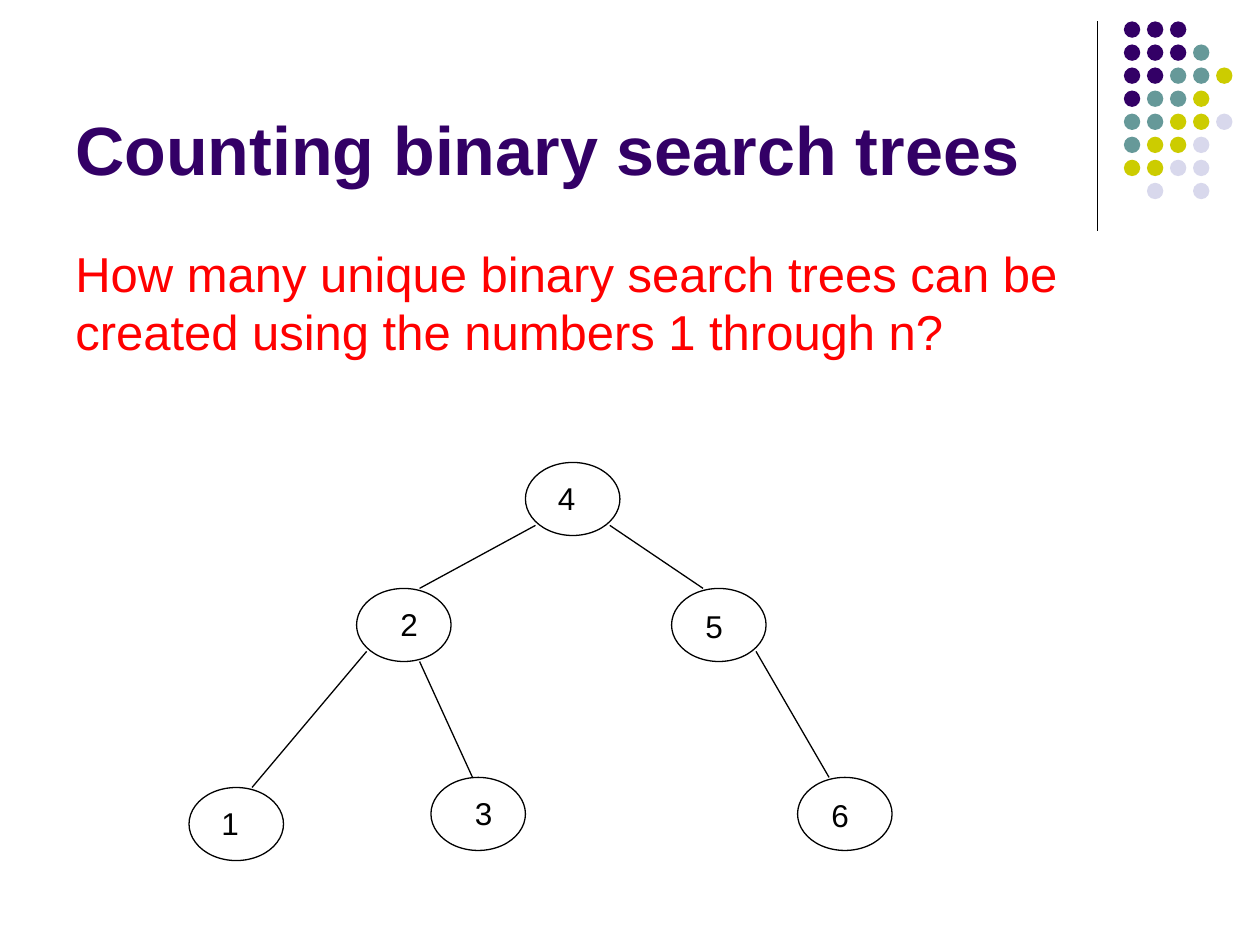
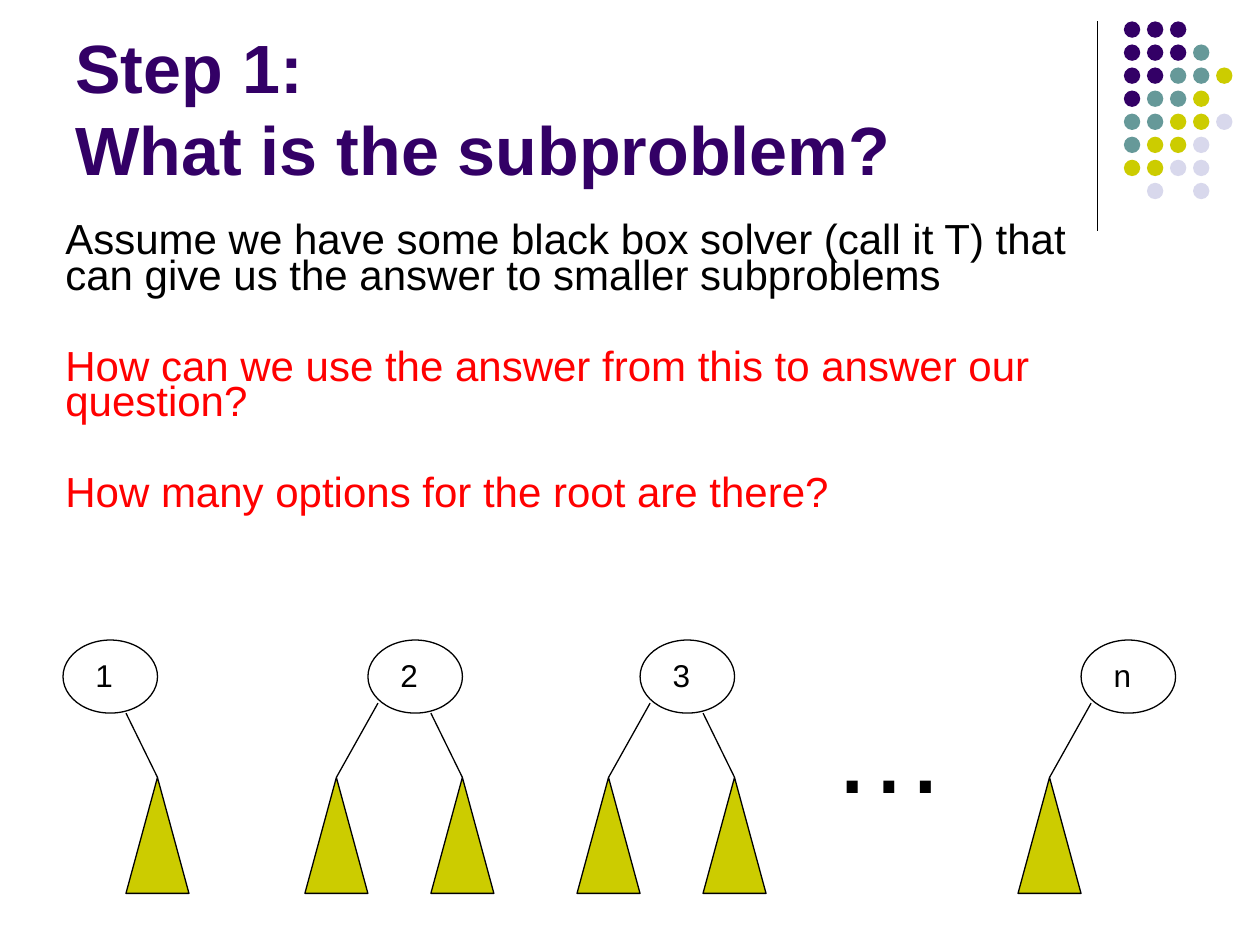
from lxml import etree
from pptx import Presentation
from pptx.dml.color import RGBColor
from pptx.enum import shapes, text
from pptx.oxml import ns
from pptx.util import Inches, Pt

PURPLE = RGBColor(0x33, 0x00, 0x66)
TEAL = RGBColor(0x66, 0x99, 0x99)
OLIVE = RGBColor(0xCC, 0xCC, 0x00)
LAVENDER = RGBColor(0xD8, 0xD8, 0xEC)
RED = RGBColor(0xFF, 0x00, 0x00)
BLACK = RGBColor(0x00, 0x00, 0x00)

FONT = "Arial"
NODE_W, NODE_H = 0.75, 0.58
LINE_WIDTH = Pt(0.75)

# Corner ornament: one letter per dot, one string per row
DOT_COLOURS = {"P": PURPLE, "T": TEAL, "O": OLIVE, "L": LAVENDER}
DOT_ROWS = ["PPP", "PPPT", "PPTTO", "PTTO", "TTOOL", "TOOL", "OOLL", " L L"]
DOT_LEFT, DOT_TOP, DOT_STEP, DOT_SIZE = 8.92, 0.17, 0.183, 0.13

# Points on a node, measured from its top left corner
LOWER_LEFT = (0.08, 0.5)
LOWER_RIGHT = (0.67, 0.5)
BOTTOM = (0.5, NODE_H)


def add_outline(slide, kind, left, top, width, height, fill=None, line=BLACK):
    shape = slide.shapes.add_shape(
        kind, Inches(left), Inches(top), Inches(width), Inches(height))
    shape.shadow.inherit = False
    if fill is None:
        shape.fill.background()
    else:
        shape.fill.solid()
        shape.fill.fore_color.rgb = fill
    if line is None:
        shape.line.fill.background()
    else:
        shape.line.color.rgb = line
        shape.line.width = LINE_WIDTH
    return shape


def add_edge(slide, start, end):
    edge = slide.shapes.add_connector(
        shapes.MSO_CONNECTOR.STRAIGHT, *(Inches(v) for v in (*start, *end)))
    edge.line.color.rgb = BLACK
    edge.line.width = LINE_WIDTH
    etree.SubElement(edge._element.spPr, ns.qn("a:effectLst"))


def add_words(slide, box, paragraphs, size, bold=False, anchor=text.MSO_ANCHOR.TOP,
              **spacing):
    """Each paragraph is a (wording, colour) pair; spacing goes to all of them."""
    frame = slide.shapes.add_textbox(*(Inches(v) for v in box)).text_frame
    frame.word_wrap = True
    frame.vertical_anchor = anchor
    gap = spacing.pop("gap", None)
    for index, (wording, colour) in enumerate(paragraphs):
        paragraph = frame.add_paragraph() if index else frame.paragraphs[0]
        paragraph.text = wording
        for name, value in spacing.items():
            setattr(paragraph, name, value)
        if index and gap:
            paragraph.space_before = gap
        for run in paragraph.runs:
            for name, value in {"name": FONT, "size": Pt(size), "bold": bold}.items():
                setattr(run.font, name, value)
            run.font.color.rgb = colour


def add_node(slide, label, left, top, label_dx=0.16, label_dy=0.08):
    add_outline(slide, shapes.MSO_SHAPE.OVAL, left, top, NODE_W, NODE_H)
    add_words(slide, (left + label_dx, top + label_dy, 0.67, 0.4),
              [(label, BLACK)], 18)


def add_subtree(slide, apex_x, apex_y):
    add_outline(slide, shapes.MSO_SHAPE.ISOSCELES_TRIANGLE,
                apex_x - 0.25, apex_y, 0.5, 0.92, OLIVE)


def add_ornament(slide):
    add_edge(slide, (8.71, 0.17), (8.71, 1.83))
    for row, dots in enumerate(DOT_ROWS):
        for column, dot in enumerate(dots):
            if dot in DOT_COLOURS:
                add_outline(slide, shapes.MSO_SHAPE.OVAL,
                            DOT_LEFT + column * DOT_STEP, DOT_TOP + row * DOT_STEP,
                            DOT_SIZE, DOT_SIZE, DOT_COLOURS[dot], None)


def start_slide(deck, title):
    slide = deck.slides.add_slide(deck.slide_layouts[6])
    add_ornament(slide)
    add_words(slide, (0.5, 0.13, 8.25, 1.42), [(title, PURPLE)], 39, True,
              text.MSO_ANCHOR.BOTTOM)
    return slide


def build_counting_slide(deck):
    slide = start_slide(deck, "Counting binary search trees")
    add_words(slide, (0.5, 1.88, 9, 1.37), [
        ("How many unique binary search trees can be created using the numbers "
         "1 through n?", RED)], 28)

    # Nodes: left, top and, where they differ, the label's offsets
    nodes = {
        "4": (4.17, 3.67),
        "2": (2.83, 4.67, 0.25),
        "5": (5.33, 4.67, 0.17, 0.1),
        "1": (1.5, 6.25),
        "3": (3.42, 6.17, 0.25),
        "6": (6.33, 6.17, 0.17, 0.1),
    }
    for label, place in nodes.items():
        add_node(slide, label, *place)

    # Edges: parent, point on the parent, child, distance along the child's top
    for parent, (dx, dy), child, child_dx in [
            ("4", LOWER_LEFT, "2", 0.5), ("4", LOWER_RIGHT, "5", 0.25),
            ("2", LOWER_LEFT, "1", 0.5), ("2", BOTTOM, "3", 0.33),
            ("5", LOWER_RIGHT, "6", 0.25)]:
        parent_x, parent_y = nodes[parent][:2]
        child_x, child_y = nodes[child][:2]
        add_edge(slide, (parent_x + dx, parent_y + dy), (child_x + child_dx, child_y))


def build_subproblem_slide(deck):
    slide = start_slide(deck, "Step 1:\vWhat is the subproblem?")
    add_words(slide, (0.42, 1.75, 8.25, 2.67), [
        ("Assume we have some black box solver (call it T) that can give us "
         "the answer to smaller subproblems", BLACK),
        ("How can we use the answer from this to answer our question?", RED),
        ("How many options for the root are there?", RED),
    ], 24, line_spacing=0.7, gap=Pt(32))

    # Candidate roots with the sides on which subtrees hang
    root_y, apex_y = 5.08, 6.17
    branches = {"left": (LOWER_LEFT, -0.25), "right": (BOTTOM, 0.75)}
    for label, root_x, sides in [
            ("1", 0.5, ["right"]), ("2", 2.92, ["right", "left"]),
            ("3", 5.08, ["right", "left"]), ("n", 8.58, ["left"])]:
        add_node(slide, label, root_x, root_y)
        for side in sides:
            (dx, dy), apex_dx = branches[side]
            apex_x = root_x + apex_dx
            add_edge(slide, (root_x + dx, root_y + dy), (apex_x, apex_y))
            add_subtree(slide, apex_x, apex_y)
    add_words(slide, (6.5, 5.33, 1.08, 1.2), [("…", BLACK)], 66)


def main():
    deck = Presentation()
    deck.slide_width, deck.slide_height = Inches(10), Inches(7.5)
    build_counting_slide(deck)
    build_subproblem_slide(deck)
    deck.save("out.pptx")


if __name__ == "__main__":
    main()
